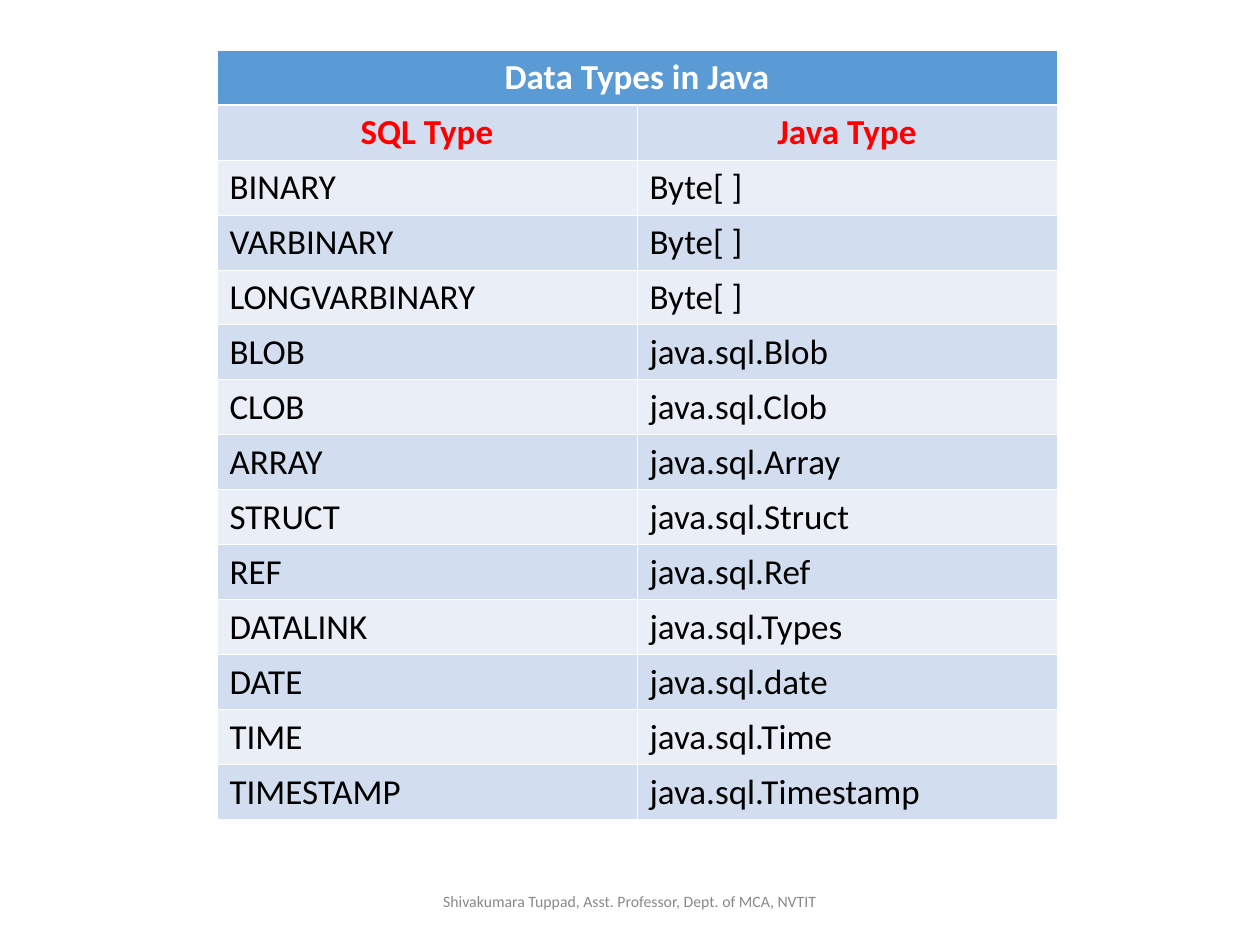
from lxml.etree import SubElement
from pptx import Presentation
from pptx.dml.color import RGBColor
from pptx.enum.text import MSO_ANCHOR as Anchor, PP_ALIGN as Align
from pptx.oxml.ns import qn
from pptx.util import Emu, Pt

# Content
TITLE = "Data Types in Java"
HEADINGS = ("SQL Type", "Java Type")
TYPES = [
    ("BINARY", "Byte[ ]"),
    ("VARBINARY", "Byte[ ]"),
    ("LONGVARBINARY", "Byte[ ]"),
    ("BLOB", "java.sql.Blob"),
    ("CLOB", "java.sql.Clob"),
    ("ARRAY", "java.sql.Array"),
    ("STRUCT", "java.sql.Struct"),
    ("REF", "java.sql.Ref"),
    ("DATALINK", "java.sql.Types"),
    ("DATE", "java.sql.date"),
    ("TIME", "java.sql.Time"),
    ("TIMESTAMP", "java.sql.Timestamp"),
]
FOOTER = "Shivakumara Tuppad, Asst. Professor, Dept. of MCA, NVTIT"

# Layout in px, and colours
SLIDE_WIDTH, SLIDE_HEIGHT = 1260, 945
TABLE_LEFT, TABLE_TOP = 217, 50
COLUMN_WIDTH, ROW_HEIGHT = 420, 55
FOOTER_BOX = (417, 876, 425, 50)
FONT = "Calibri"
TITLE_FILL, BANDS = "5B9BD5", ("EAEFF7", "D2DEEF")
WHITE, RED, BLACK, GREY = "FFFFFF", "FF0000", "000000", "898989"
THIN, THICK = 0.45, 1.47


def px(length):
    return Emu(round(length * 914400 / 126))


def color(value):
    return RGBColor.from_string(value)


def write(text_frame, text, size, text_color, bold=False, align=Align.LEFT):
    paragraph = text_frame.paragraphs[0]
    paragraph.text = text
    paragraph.alignment = align
    font = paragraph.font
    font.name, font.size, font.bold = FONT, Pt(size), bold
    font.color.rgb = color(text_color)


def style_cell(cell, fill, top=THIN, bottom=THIN):
    properties = cell._tc.get_or_add_tcPr()
    for side, width in (("L", THIN), ("R", THIN), ("T", top), ("B", bottom)):
        line = SubElement(properties, qn(f"a:ln{side}"), w=str(Pt(width)))
        solid = SubElement(line, qn("a:solidFill"))
        SubElement(solid, qn("a:srgbClr"), val=WHITE)
    cell.fill.solid()
    cell.fill.fore_color.rgb = color(fill)


presentation = Presentation()
presentation.slide_width, presentation.slide_height = px(SLIDE_WIDTH), px(SLIDE_HEIGHT)
slide = presentation.slides.add_slide(presentation.slide_layouts[6])

# Footer
footer = slide.shapes.add_textbox(*map(px, FOOTER_BOX)).text_frame
footer.word_wrap = True
footer.vertical_anchor = Anchor.MIDDLE
write(footer, FOOTER, 9, GREY, align=Align.CENTER)

# Table with a merged title row
rows = [(TITLE, ""), HEADINGS, *TYPES]
columns = len(HEADINGS)
table = slide.shapes.add_table(
    len(rows), columns, px(TABLE_LEFT), px(TABLE_TOP),
    px(COLUMN_WIDTH * columns), px(ROW_HEIGHT * len(rows))).table
table.cell(0, 0).merge(table.cell(0, columns - 1))

for row_index, row in enumerate(rows):
    table.rows[row_index].height = px(ROW_HEIGHT)
    is_title, is_heading = row_index == 0, row_index == 1
    fill = TITLE_FILL if is_title else BANDS[row_index % 2]
    text_color = WHITE if is_title else RED if is_heading else BLACK
    header = is_title or is_heading
    for column_index, text in enumerate(row):
        cell = table.cell(row_index, column_index)
        style_cell(cell, fill, top=THICK if is_heading else THIN,
                   bottom=THICK if is_title else THIN)
        if not cell.is_spanned:
            write(cell.text_frame, text, 20, text_color, bold=header,
                  align=Align.CENTER if header else Align.LEFT)

presentation.save("out.pptx")
